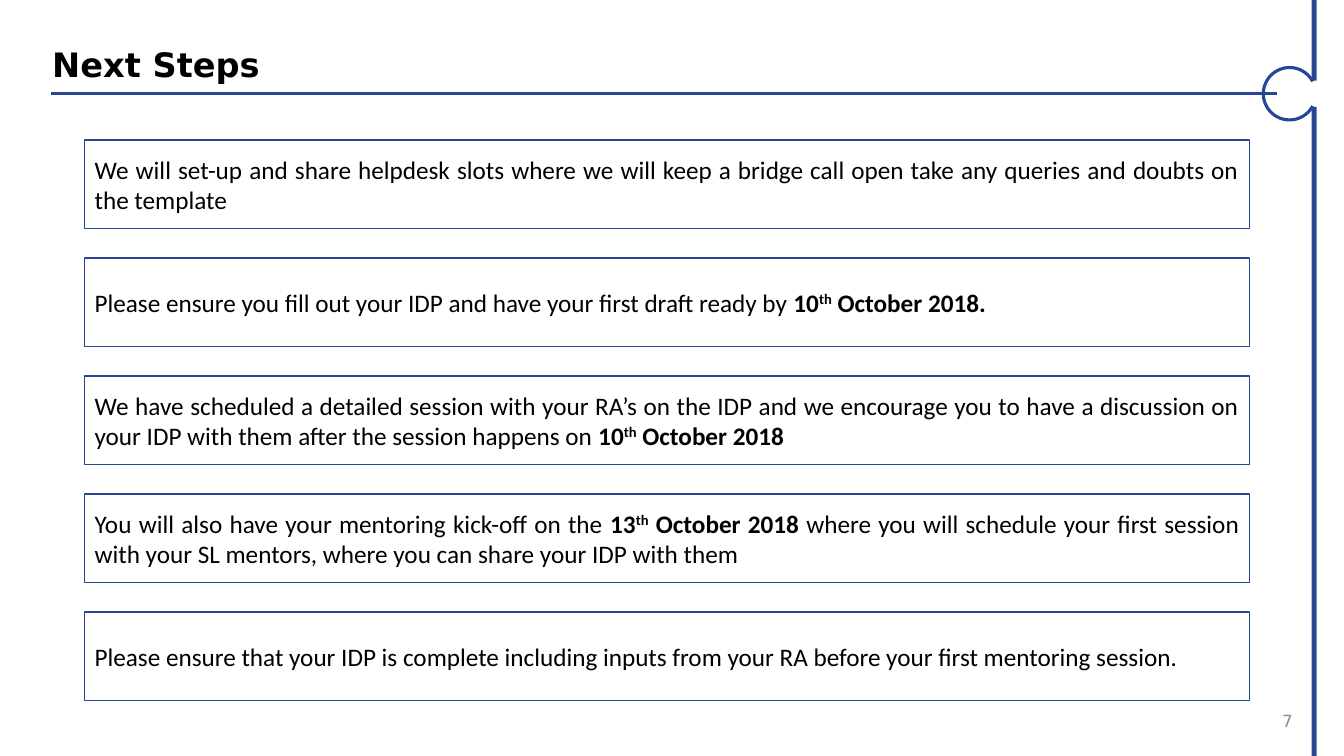
from dataclasses import dataclass
from lxml.etree import SubElement
from pptx import Presentation
from pptx.dml.color import RGBColor
from pptx.enum.shapes import MSO_CONNECTOR, MSO_SHAPE
from pptx.enum.text import MSO_ANCHOR, PP_ALIGN
from pptx.oxml.ns import qn
from pptx.util import Inches, Pt

TITLE = "Next Steps"
PAGE = "7"
STEPS = [
    [("We will set-up and share helpdesk slots where we will keep a bridge call open "
      "take any queries and doubts on the template", "")],
    [("Please ensure you fill out your IDP and have your first draft ready by ", ""),
     ("10", "bold"), ("th", "super"), (" October 2018.", "bold")],
    [("We have scheduled a detailed session with your RA’s on the IDP and we encourage "
      "you to have a discussion on your IDP with them after the session happens on ", ""),
     ("10", "bold"), ("th", "super"), (" October 2018", "bold")],
    [("You will also have your mentoring kick-off on the ", ""),
     ("13", "bold"), ("th", "super"), (" October 2018 ", "bold"),
     ("where you will schedule your first session with your SL mentors, "
      "where you can share your IDP with them", "")],
    [("Please ensure that your IDP is complete including inputs from your RA "
      "before your first mentoring session.", "")],
]
STEP_ALIGNS = [PP_ALIGN.JUSTIFY] * 4 + [PP_ALIGN.LEFT]

BOX_LEFT, BOX_TOP, BOX_W, BOX_H, BOX_PITCH = 0.84, 1.39, 11.55, 0.88, 1.17
BAR_LEFT, BAR_W = 13.01, 0.05
BARS = [(0, 0.8), (1.06, 7.5)]
RING_X, RING_Y, RING_R, RING_GAP = 12.79, 0.93, 0.26, 28


@dataclass(frozen=True)
class Theme:
    blue: RGBColor = RGBColor(0x26, 0x47, 0x96)
    black: RGBColor = RGBColor(0, 0, 0)
    gray: RGBColor = RGBColor(0x8C, 0x8C, 0x8C)
    head_font: str = "DejaVu Sans"
    body_font: str = "Calibri"
    title: int = 24
    body: int = 18
    page: int = 12
    rule: float = 2.25
    border: float = 1


T = Theme()


def write(sp, runs, size, font, color=T.black, align=PP_ALIGN.LEFT,
          anchor=MSO_ANCHOR.MIDDLE, spacing=1.0):
    tf = sp.text_frame
    tf.word_wrap = True
    tf.vertical_anchor = anchor
    p = tf.paragraphs[0]
    p.alignment = align
    p.line_spacing = spacing
    for text, style in runs:
        r = p.add_run()
        r.text = text
        r.font.size = Pt(size)
        r.font.name = font
        r.font.color.rgb = color
        r.font.bold = style in ("bold", "super")
        if style == "super":
            r.font._element.set("baseline", "30000")


def add_box(s, kind, left, top, width, height, fill=None, border=None):
    sp = s.shapes.add_shape(kind, Inches(left), Inches(top), Inches(width), Inches(height))
    sp.shadow.inherit = False
    if fill is None:
        sp.fill.background()
    else:
        sp.fill.solid()
        sp.fill.fore_color.rgb = fill
    if border is None:
        sp.line.fill.background()
    else:
        sp.line.color.rgb = T.blue
        sp.line.width = Pt(border)
    return sp


def add_text(s, left, top, width, height, runs, **fmt):
    sp = s.shapes.add_textbox(Inches(left), Inches(top), Inches(width), Inches(height))
    write(sp, runs, **fmt)


def add_frame(s):
    rule = s.shapes.add_connector(MSO_CONNECTOR.STRAIGHT, Inches(0.51), Inches(RING_Y),
                                  Inches(12.67), Inches(RING_Y))
    rule.line.color.rgb = T.blue
    rule.line.width = Pt(T.rule)
    SubElement(rule._element.spPr, qn("a:effectLst"))

    ring = add_box(s, MSO_SHAPE.ARC, RING_X - RING_R, RING_Y - RING_R,
                   2 * RING_R, 2 * RING_R, border=T.rule)
    ring.adjustments[0] = RING_GAP * 0.6
    ring.adjustments[1] = (360 - RING_GAP) * 0.6

    for top, bottom in BARS:
        add_box(s, MSO_SHAPE.RECTANGLE, BAR_LEFT, top, BAR_W, bottom - top, fill=T.blue)


def main():
    prs = Presentation()
    prs.slide_width, prs.slide_height = Inches(13.33), Inches(7.5)
    s = prs.slides.add_slide(prs.slide_layouts[6])
    add_frame(s)
    add_text(s, 9.81, 6.95, 3.11, 0.4, [(PAGE, "")], size=T.page, font=T.head_font,
             color=T.gray, align=PP_ALIGN.RIGHT)
    for i, (runs, align) in enumerate(zip(STEPS, STEP_ALIGNS)):
        sp = add_box(s, MSO_SHAPE.RECTANGLE, BOX_LEFT, BOX_TOP + i * BOX_PITCH,
                     BOX_W, BOX_H, border=T.border)
        write(sp, runs, size=T.body, font=T.body_font, align=align)
    add_text(s, 0.42, 0.31, 11.97, 0.53, [(TITLE, "bold")], size=T.title,
             font=T.head_font, anchor=MSO_ANCHOR.TOP, spacing=1.2)
    prs.save("out.pptx")


if __name__ == "__main__":
    main()
